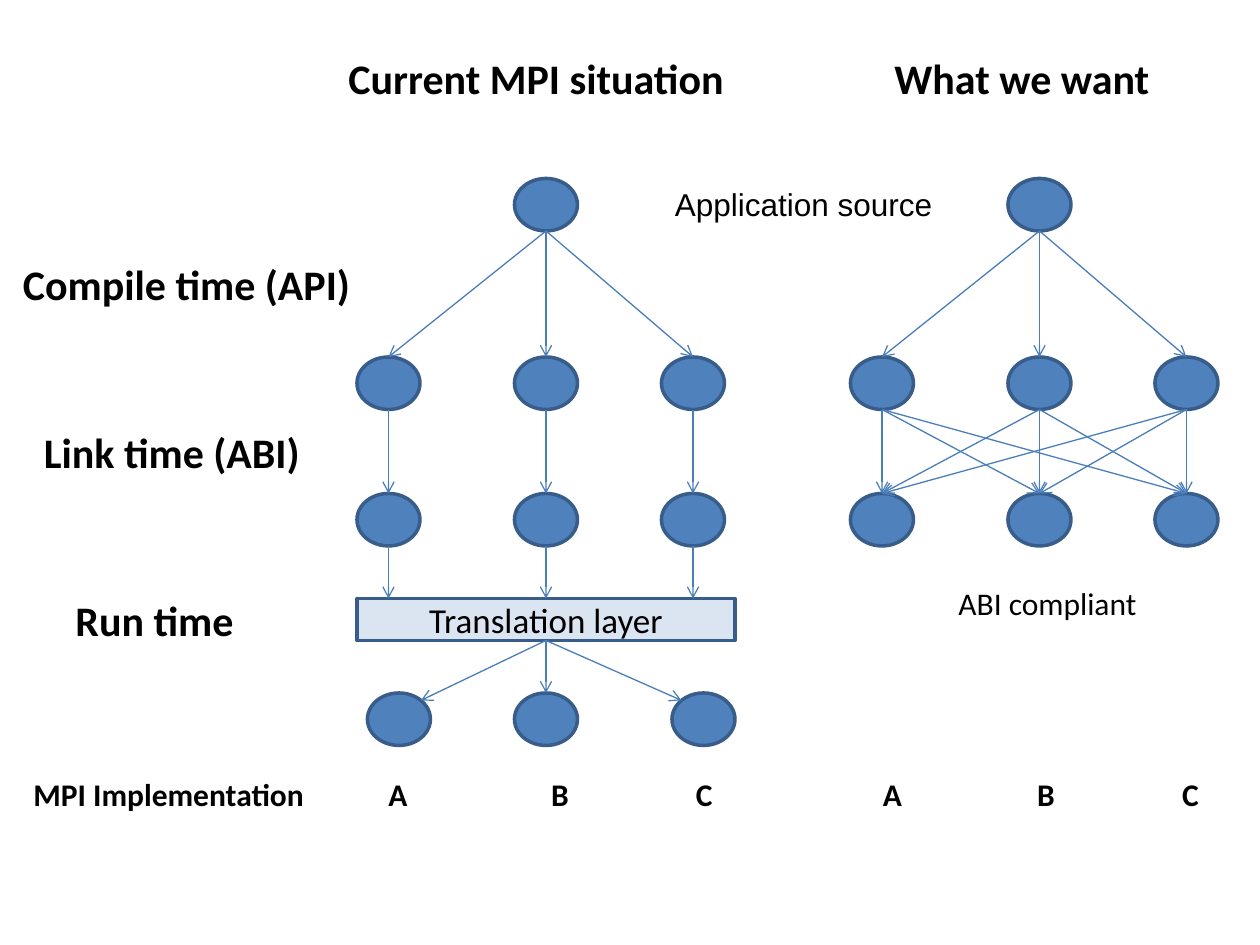
import pptx
import pptx.util
from pptx.dml.color import RGBColor
from pptx.enum.shapes import MSO_CONNECTOR, MSO_SHAPE
from pptx.enum.text import MSO_ANCHOR, PP_ALIGN
from pptx.oxml import parse_xml
from pptx.oxml.ns import nsdecls, qn
from lxml import etree

# Theme
THEME = {
    "node": RGBColor(0x4F, 0x81, 0xBD),
    "edge": RGBColor(0x38, 0x5D, 0x8A),
    "arrow": RGBColor(0x4A, 0x7E, 0xBB),
    "ink": RGBColor(0, 0, 0),
    "edge_width": pptx.util.Pt(2),
    "arrow_width": pptx.util.Pt(0.75),
    "layer_alpha": 20000,
}
STYLES = {
    "heading": {"name": "Calibri", "size": pptx.util.Pt(24), "bold": True},
    "caption": {"name": "Calibri", "size": pptx.util.Pt(18), "bold": True},
    "layer": {"name": "Calibri", "size": pptx.util.Pt(20), "bold": False},
    "note": {"name": "Calibri", "size": pptx.util.Pt(18), "bold": False},
    "source": {"name": "Arial", "size": pptx.util.Pt(18), "bold": False},
}

# Content: text, left, top, width, height, style, wraps and sits at the bottom
LABELS = [
    ("Current MPI situation", 320, 20, 400, 84, "heading", True),
    ("What we want", 840, 20, 280, 84, "heading", True),
    ("Compile time (API)", 10, 240, 350, 60, "heading", True),
    ("Link time (ABI)", 30, 400, 280, 60, "heading", True),
    ("Run time", 60, 560, 220, 60, "heading", True),
    ("Application source", 631, 170, 269, 48, "source", False),
    ("ABI compliant", 901, 550, 200, 48, "note", False),
]
IMPLEMENTATIONS = ("MPI Implementation", "A", "B", "C", "A", "B", "C")
IMPLEMENTATION_BOX = (20, 720, 1160, 60)
IMPLEMENTATION_TABS = (338, 493, 631, 809, 956, 1094)
LAYER = ("Translation layer", 340, 570, 360, 40)

# Node grid
PX = pptx.util.Inches(1) // 120
NODE_W, NODE_H = 60, 50
SOURCE_Y, COMPILED_Y, LINKED_Y, RUNNING_Y = 170, 340, 470, 660
CURRENT_X = (340, 490, 630)
WANTED_X = (810, 960, 1100)
RUNNING_X = (350, 490, 640)
DIAGONAL = 0.5 ** 0.5 / 2


def emu(*lengths):
    return [length * PX for length in lengths]


def top_of(x, y):
    return x + NODE_W // 2, y


def bottom_of(x, y):
    return x + NODE_W // 2, y + NODE_H


def corner_of(x, y, side):
    """Upper point of a node at 45 degrees; side is -1, 0 or 1."""
    if side == 0:
        return top_of(x, y)
    return (round(x + NODE_W * (0.5 + side * DIAGONAL)),
            round(y + NODE_H * (0.5 - DIAGONAL)))


def write(frame, text, style, **formats):
    for name, value in formats.items():
        setattr(frame, name, value)
    para = frame.paragraphs[0]
    para.text = text
    for name, value in STYLES[style].items():
        setattr(para.font, name, value)
    para.font.color.rgb = THEME["ink"]
    return para


def add_label(slide, text, left, top, width, height, style, at_bottom):
    box = slide.shapes.add_textbox(*emu(left, top, width, height))
    anchor = MSO_ANCHOR.BOTTOM if at_bottom else MSO_ANCHOR.TOP
    return write(box.text_frame, text, style,
                 word_wrap=at_bottom, vertical_anchor=anchor)


def add_figure(slide, kind, left, top, width, height):
    figure = slide.shapes.add_shape(kind, *emu(left, top, width, height))
    figure.shadow.inherit = False
    figure.fill.solid()
    figure.fill.fore_color.rgb = THEME["node"]
    figure.line.color.rgb = THEME["edge"]
    figure.line.width = THEME["edge_width"]
    return figure


def add_arrow(slide, start, end):
    arrow = slide.shapes.add_connector(MSO_CONNECTOR.STRAIGHT, *emu(*start, *end))
    arrow.line.color.rgb = THEME["arrow"]
    arrow.line.width = THEME["arrow_width"]
    etree.SubElement(arrow.line._get_or_add_ln(), qn("a:tailEnd"), type="arrow")
    etree.SubElement(arrow._element.spPr, qn("a:effectLst"))


def add_implementations(slide):
    para = add_label(slide, "", *IMPLEMENTATION_BOX, "caption", True)
    stops = "".join(f'<a:tab pos="{stop * PX}" algn="l"/>' for stop in IMPLEMENTATION_TABS)
    properties = para._p.get_or_add_pPr()
    properties.insert(0, parse_xml(f"<a:tabLst {nsdecls('a')}>{stops}</a:tabLst>"))
    span = para.add_run()
    span.text = "\t".join(IMPLEMENTATIONS)


def add_layer(slide):
    text, *place = LAYER
    layer = add_figure(slide, MSO_SHAPE.RECTANGLE, *place)
    color = layer._element.spPr.find(qn("a:solidFill"))[0]
    etree.SubElement(color, qn("a:alpha"), val=str(THEME["layer_alpha"]))
    para = write(layer.text_frame, text, "layer",
                 word_wrap=True, vertical_anchor=MSO_ANCHOR.MIDDLE)
    para.alignment = PP_ALIGN.CENTER


def main():
    deck = pptx.Presentation()
    deck.slide_width, deck.slide_height = emu(1200, 900)
    slide = deck.slides.add_slide(deck.slide_layouts[6])

    # Nodes and translation layer
    nodes = [(x, y) for columns in (CURRENT_X, WANTED_X)
             for x, y in [(columns[1], SOURCE_Y)]
             + [(x, y) for y in (COMPILED_Y, LINKED_Y) for x in columns]]
    nodes += [(x, RUNNING_Y) for x in RUNNING_X]
    for x, y in nodes:
        add_figure(slide, MSO_SHAPE.OVAL, x, y, NODE_W, NODE_H)
    add_layer(slide)

    # Compile time: one source fans out on each side
    arrows = [(bottom_of(columns[1], SOURCE_Y), top_of(x, COMPILED_Y))
              for columns in (CURRENT_X, WANTED_X) for x in columns]

    # Link time: one to one today, all to all with a shared ABI
    pairs = [(x, x) for x in CURRENT_X]
    pairs += [(x, target) for x in WANTED_X for target in WANTED_X]
    arrows += [(bottom_of(x, COMPILED_Y), top_of(target, LINKED_Y)) for x, target in pairs]

    # Run time: into the layer, then out to each implementation
    layer_top = LAYER[2]
    layer_bottom = layer_top + LAYER[4]
    hub = (CURRENT_X[1] + NODE_W // 2, layer_bottom)
    for x in CURRENT_X:
        arrows.append((bottom_of(x, LINKED_Y), top_of(x, layer_top)))
    for x, side in zip(RUNNING_X, (1, 0, -1)):
        arrows.append((hub, corner_of(x, RUNNING_Y, side)))
    for start, end in arrows:
        add_arrow(slide, start, end)

    # Labels
    for label in LABELS:
        add_label(slide, *label)
    add_implementations(slide)

    deck.save("out.pptx")


if __name__ == "__main__":
    main()
